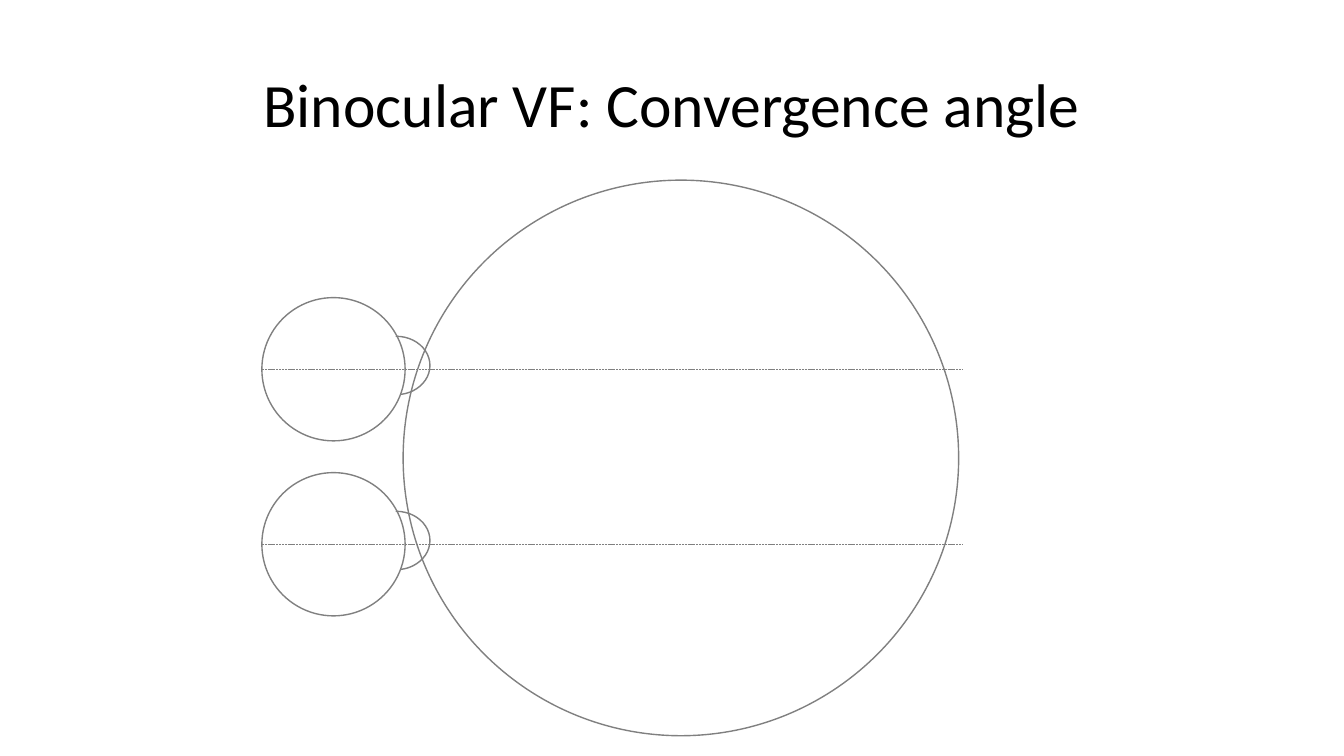
from dataclasses import dataclass

from lxml import etree
from pptx import Presentation
from pptx.dml.color import RGBColor
from pptx.enum.dml import MSO_LINE
from pptx.enum.shapes import MSO_CONNECTOR, MSO_SHAPE
from pptx.enum.text import MSO_ANCHOR, PP_ALIGN
from pptx.oxml.ns import qn
from pptx.util import Cm, Pt


@dataclass(frozen=True)
class Theme:
    font: str = "Calibri"
    title_size: Pt = Pt(44)
    text: RGBColor = RGBColor(0x00, 0x00, 0x00)
    outline: RGBColor = RGBColor(0x80, 0x80, 0x80)
    outline_width: Pt = Pt(1)
    axis_width: Pt = Pt(0.5)


THEME = Theme()
EYE_LEFT, FIRST_EYE_TOP, EYE_PITCH = 6.6, 7.5, 4.41
EYE_SIZE, AXIS_LENGTH = 3.61, 17.68


def add_title(shapes, text):
    sp = shapes.add_textbox(Cm(2.33), Cm(0.87), Cm(29.21), Cm(3.68))
    tf = sp.text_frame
    tf.word_wrap = True
    tf.vertical_anchor = MSO_ANCHOR.MIDDLE
    p = tf.paragraphs[0]
    p.alignment = PP_ALIGN.CENTER
    p.line_spacing = 0.9
    r = p.add_run()
    r.text = text
    r.font.name = THEME.font
    r.font.size = THEME.title_size
    r.font.color.rgb = THEME.text


def add_outline(shapes, kind, left, top, width, height):
    sp = shapes.add_shape(kind, Cm(left), Cm(top), Cm(width), Cm(height))
    sp.shadow.inherit = False
    sp.fill.background()
    sp.line.color.rgb = THEME.outline
    sp.line.width = THEME.outline_width
    return sp


def add_axis(shapes, left, y, length):
    line = shapes.add_connector(
        MSO_CONNECTOR.STRAIGHT, Cm(left), Cm(y), Cm(left + length), Cm(y))
    line.line.color.rgb = THEME.outline
    line.line.width = THEME.axis_width
    line.line.dash_style = MSO_LINE.SQUARE_DOT
    etree.SubElement(line._element.spPr, qn("a:effectLst"))


def add_eye(shapes, left, top):
    eye = shapes.add_group_shape().shapes
    cornea = add_outline(
        eye, MSO_SHAPE.BLOCK_ARC, left + 2.65, top + 0.86, 1.47, 1.7)
    cornea.rotation = 90
    for i, value in enumerate((108, 210.21, 0)):
        cornea.adjustments[i] = value
    add_outline(eye, MSO_SHAPE.OVAL, left, top, EYE_SIZE, EYE_SIZE)
    add_axis(eye, left, top + EYE_SIZE / 2, AXIS_LENGTH)


def main():
    prs = Presentation()
    prs.slide_width, prs.slide_height = Cm(33.87), Cm(19.05)
    s = prs.slides.add_slide(prs.slide_layouts[6])
    add_outline(s.shapes, MSO_SHAPE.OVAL, 10.16, 4.54, 14, 14)
    add_title(s.shapes, "Binocular VF: Convergence angle")
    for i in range(2):
        add_eye(s.shapes, EYE_LEFT, FIRST_EYE_TOP + i * EYE_PITCH)
    prs.save("out.pptx")


if __name__ == "__main__":
    main()
